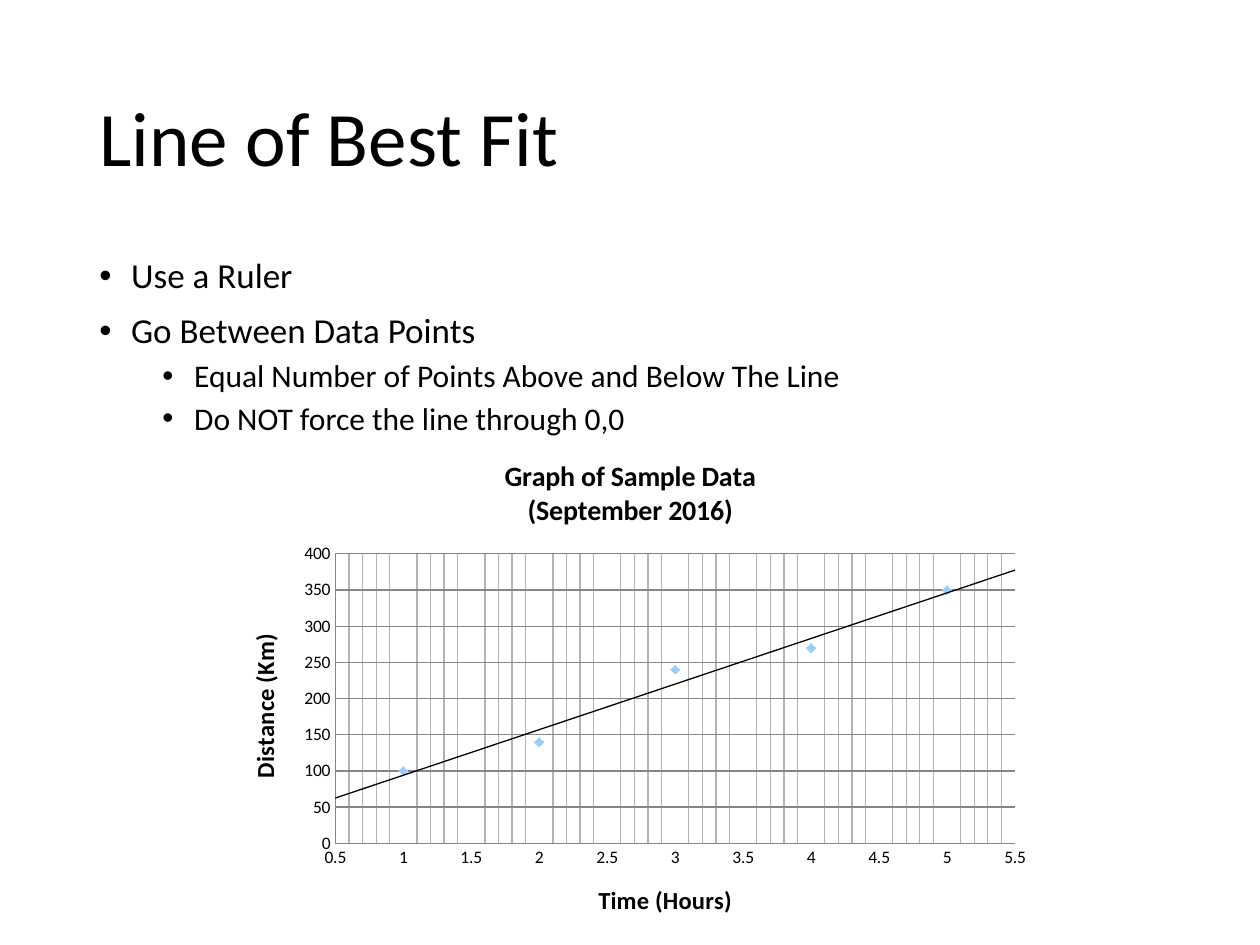
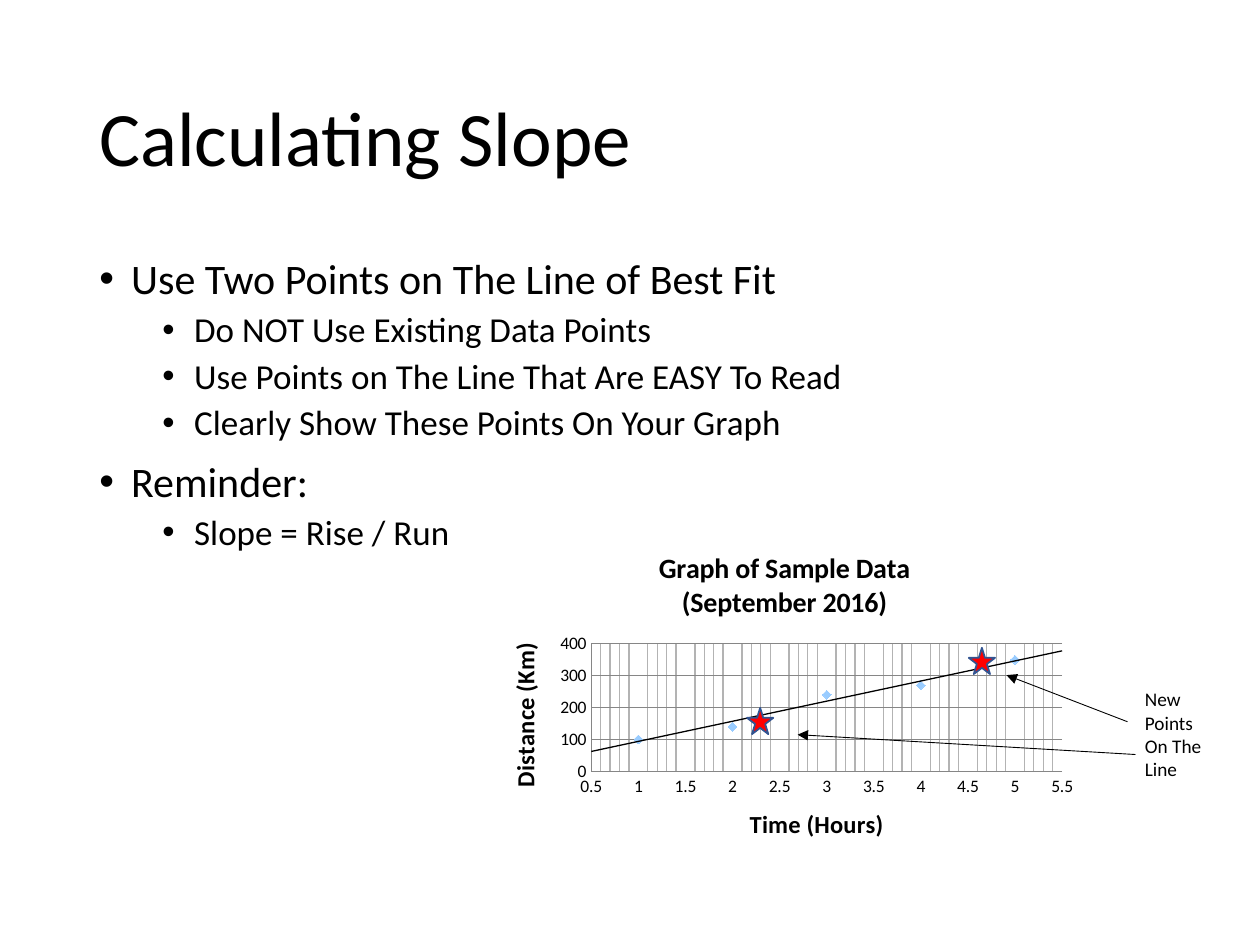
from lxml import etree
from pptx import Presentation
from pptx import util as u
from pptx.chart import data as cd
from pptx.dml import color as col
from pptx.enum import chart as ec, shapes as es, text as et
from pptx.oxml import ns

# Shared look
FACE = "Calibri"
INK, GRID, FINE = "000000", "868686", "B3B3B3"
DOT, RED, EDGE = "99CCFF", "FF0000", "325491"
TITLE = (1.75, 1.02, 21.9, 3.68)
BODY = (1.75, 5.08, 21.9, 12.09)
DATA = [(1, 100), (2, 140), (3, 240), (4, 270), (5, 350)]


def rgb(hue):
    return col.RGBColor.from_string(hue)


def put(obj, fmt):
    for key, val in fmt.items():
        setattr(obj, key, val)


def cms(vals):
    return [u.Cm(v) for v in vals]


def style(font, size, bold=False):
    put(font, {"name": FACE, "size": u.Pt(size), "bold": bold})
    font.color.rgb = rgb(INK)


def stroke(line, hue, width):
    line.color.rgb = rgb(hue)
    line.width = u.Pt(width)


def add_xml(parent, tag, **attrs):
    node = etree.SubElement(parent, ns.qn(tag))
    for key, val in attrs.items():
        node.set(key, str(val))
    return node


def add_line(parent, hue):
    line = add_xml(add_xml(parent, "c:spPr"), "a:ln", w=u.Pt(0.75))
    add_xml(add_xml(line, "a:solidFill"), "a:srgbClr", val=hue)


def place(shape, box):
    put(shape, dict(zip(("left", "top", "width", "height"), cms(box))))


# Title and bullet list
def add_page(deck, title, items, sizes):
    page = deck.slides.add_slide(deck.slide_layouts[1])
    head, body = page.placeholders
    place(head, TITLE)
    place(body, BODY)
    for shape in (head, body):
        put(shape.text_frame, {"auto_size": et.MSO_AUTO_SIZE.NONE,
                               "word_wrap": True})
    head.text_frame.vertical_anchor = et.MSO_ANCHOR.MIDDLE
    head.text_frame.text = title
    para = head.text_frame.paragraphs[0]
    put(para, {"alignment": et.PP_ALIGN.LEFT, "line_spacing": 0.9})
    style(para.font, 44)

    frame = body.text_frame
    frame.text = "\n".join(text for _, text in items)
    for num, (para, (level, _)) in enumerate(zip(frame.paragraphs, items)):
        gap = (10, 5)[level] if num else 0
        put(para, {"level": level, "line_spacing": 0.9,
                   "space_before": u.Pt(gap), "space_after": u.Pt(0)})
        props = para._p.get_or_add_pPr()
        props.set("marL", str(u.Cm((0.64, 1.91)[level])))
        props.set("indent", str(u.Cm(-0.64)))
        add_xml(props, "a:buFont", typeface="Arial")
        add_xml(props, "a:buChar", char="•")
        style(para.font, sizes[level])
    return page


# Scatter graph with line of best fit
def label(frame, text, size):
    frame.text = text
    for para in frame.paragraphs:
        style(para.font, size, True)


def set_axis(axis, name, low, high, step):
    put(axis, {"minimum_scale": low, "maximum_scale": high,
               "major_unit": step, "has_title": True,
               "major_tick_mark": ec.XL_TICK_MARK.NONE,
               "minor_tick_mark": ec.XL_TICK_MARK.NONE})
    label(axis.axis_title.text_frame, name, 14)
    stroke(axis.format.line, GRID, 0.75)
    style(axis.tick_labels.font, 10)
    put(axis.tick_labels, {"number_format": "General",
                           "number_format_is_linked": False})


def set_plot(chart, frac):
    area = chart._chartSpace.chart.plotArea
    for old in area.findall(ns.qn("c:layout")):
        area.remove(old)
    lay = etree.Element(ns.qn("c:layout"))
    man = add_xml(lay, "c:manualLayout")
    add_xml(man, "c:layoutTarget", val="inner")
    for key in "xy":
        add_xml(man, f"c:{key}Mode", val="edge")
    for key, val in zip("xywh", frac):
        add_xml(man, f"c:{key}", val=val)
    area.insert(0, lay)


def add_trend(row):
    trend = etree.Element(ns.qn("c:trendline"))
    add_line(trend, INK)
    for tag, val in (("trendlineType", "linear"), ("forward", 0.5),
                     ("backward", 0.5), ("dispRSqr", 0), ("dispEq", 0)):
        add_xml(trend, f"c:{tag}", val=val)
    row._element.find(ns.qn("c:xVal")).addprevious(trend)


def add_graph(page, box, frac, step):
    data = cd.XyChartData()
    row = data.add_series("Series 1")
    for x, y in DATA:
        row.add_data_point(x, y)
    chart = page.shapes.add_chart(
        ec.XL_CHART_TYPE.XY_SCATTER, *cms(box), data).chart
    style(chart.font, 10)
    put(chart, {"has_legend": False, "has_title": True})
    label(chart.chart_title.text_frame,
          "Graph of Sample Data\n(September 2016)", 16)
    chart.plots[0].vary_by_categories = False
    set_plot(chart, frac)

    time, dist = chart.category_axis, chart.value_axis
    set_axis(time, "Time (Hours)", 0.5, 5.5, 0.5)
    put(time, {"minor_unit": 0.1, "has_major_gridlines": False,
               "has_minor_gridlines": True})
    add_line(time._element.find(ns.qn("c:minorGridlines")), FINE)
    set_axis(dist, "Distance (Km)", 0, 400, step)
    dist.has_major_gridlines = True
    stroke(dist.major_gridlines.format.line, GRID, 0.75)

    row = chart.plots[0].series[0]
    row.format.line.fill.background()
    put(row.marker, {"style": ec.XL_MARKER_STYLE.DIAMOND, "size": 5})
    row.marker.format.fill.solid()
    row.marker.format.fill.fore_color.rgb = rgb(DOT)
    stroke(row.marker.format.line, DOT, 0.75)
    add_trend(row)


# Marks over the graph
def add_star(page, left, top):
    star = page.shapes.add_shape(
        es.MSO_SHAPE.STAR_5_POINT, *cms((left, top, 0.53, 0.53)))
    star.shadow.inherit = False
    star.fill.solid()
    star.fill.fore_color.rgb = rgb(RED)
    stroke(star.line, EDGE, 1)


def add_note(page, box, text):
    frame = page.shapes.add_textbox(*cms(box)).text_frame
    put(frame, {"text": text, "word_wrap": False,
                "auto_size": et.MSO_AUTO_SIZE.SHAPE_TO_FIT_TEXT})
    for para in frame.paragraphs:
        style(para.font, 11)


def add_arrow(page, ends):
    link = page.shapes.add_connector(es.MSO_CONNECTOR.STRAIGHT, *cms(ends))
    stroke(link.line, INK, 0.5)
    props = link._element.spPr
    add_xml(props.find(ns.qn("a:ln")), "a:tailEnd", type="triangle")
    add_xml(props, "a:effectLst")


def main():
    deck = Presentation()
    put(deck, {"slide_width": u.Cm(25.4), "slide_height": u.Cm(19.05)})

    # Line of best fit
    page = add_page(deck, "Line of Best Fit", [
        (0, "Use a Ruler"),
        (0, "Go Between Data Points"),
        (1, "Equal Number of Points Above and Below The Line"),
        (1, "Do NOT force the line through 0,0"),
    ], (20, 18))
    add_graph(page, (4.45, 8.81, 16.51, 10.24), (0.14, 0.23, 0.83, 0.57), 50)

    # Slope
    page = add_page(deck, "Calculating Slope", [
        (0, "Use Two Points on The Line of Best Fit"),
        (1, "Do NOT Use Existing Data Points"),
        (1, "Use Points on The Line That Are EASY To Read"),
        (1, "Clearly Show These Points On Your Graph"),
        (0, "Reminder:"),
        (1, "Slope = Rise / Run"),
    ], (24, 20))
    add_graph(page, (9.73, 10.74, 12.17, 6.78), (0.18, 0.33, 0.78, 0.38), 100)
    for spot in ((19.53, 13.06), (15.06, 14.27)):
        add_star(page, *spot)
    add_note(page, (22.83, 13.74, 1.65, 2.13), "New\nPoints\nOn The\nLine")
    for ends in ((22.73, 14.55, 20.29, 13.61), (22.89, 15.21, 16.08, 14.81)):
        add_arrow(page, ends)

    deck.save("out.pptx")


if __name__ == "__main__":
    main()
